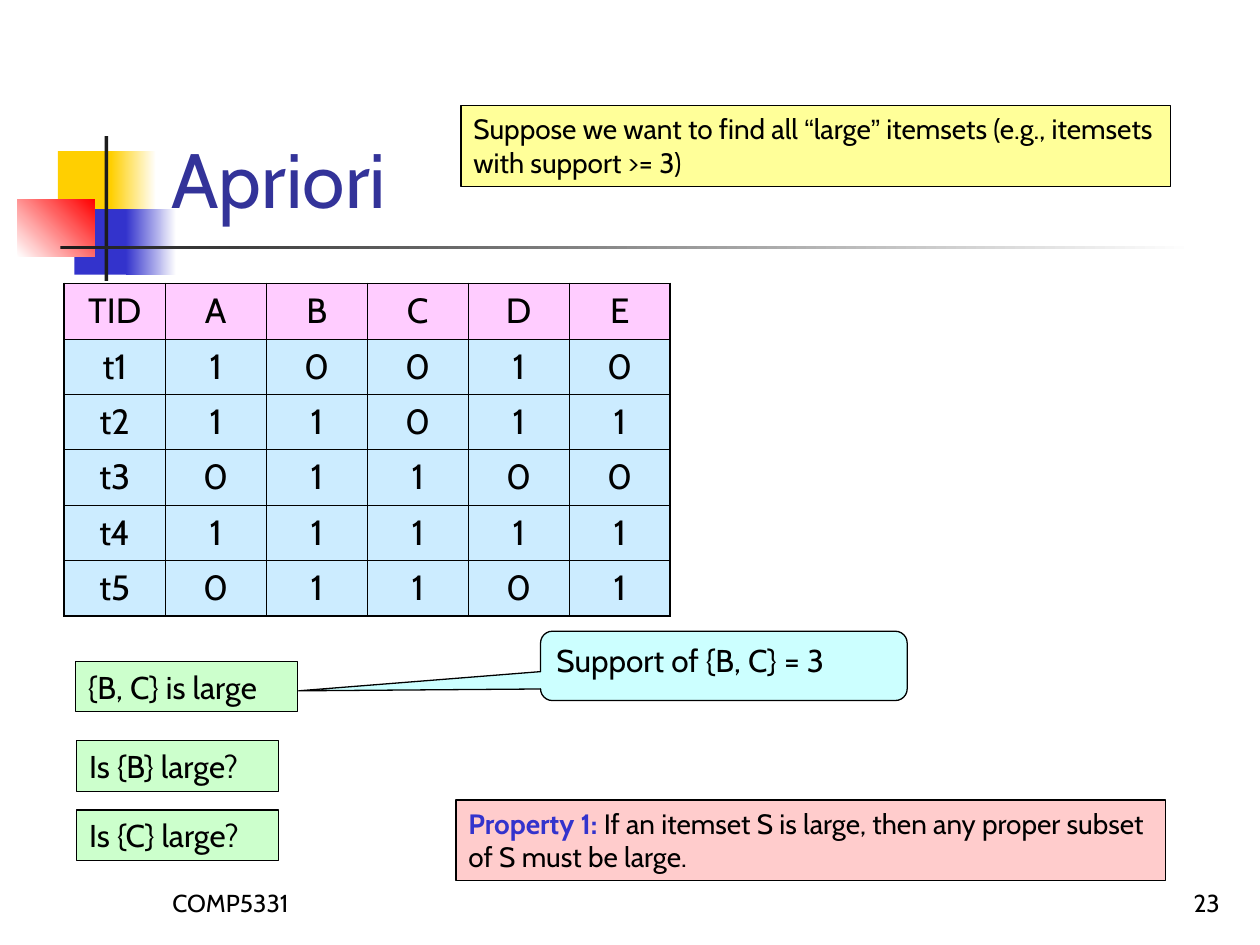
import pptx
import pptx.util
import pptx.dml.color
import pptx.enum.shapes
import pptx.enum.text
from lxml import etree

Inches, Pt = pptx.util.Inches, pptx.util.Pt
RGB = pptx.dml.color.RGBColor.from_string
Kind = pptx.enum.shapes.MSO_SHAPE
Align = pptx.enum.text.PP_ALIGN
Anchor = pptx.enum.text.MSO_ANCHOR
Fit = pptx.enum.text.MSO_AUTO_SIZE

HUE = {
    "black": "000000", "white": "FFFFFF", "dark": "1C1C1C",
    "gold": "FFCF01", "blue": "3333CC", "red": "FF0000", "title": "333399",
    "pink": "FFCCFF", "sky": "CCECFF", "lemon": "FFFF99",
    "mint": "CCFFCC", "aqua": "CCFFFF", "rose": "FFCCCC",
}


def write(para, text, size, hue="black", font="Cabin", bold=False):
    run = para.add_run()
    run.text = text
    run.font.size = Pt(size)
    run.font.name = font
    run.font.bold = bold
    run.font.color.rgb = RGB(HUE[hue])


def draw(kind, box, hue, line=False):
    """Add a shape with a plain fill and, if asked, a thin black outline."""
    shape = slide.shapes.add_shape(kind, *map(Inches, box))
    shape.shadow.inherit = False
    shape.fill.solid()
    shape.fill.fore_color.rgb = RGB(HUE[hue])
    if line:
        shape.line.color.rgb = RGB(HUE["black"])
        shape.line.width = Pt(0.75)
    else:
        shape.line.fill.background()
    return shape


deck = pptx.Presentation()
deck.slide_width, deck.slide_height = Inches(10), Inches(7.5)
slide = deck.slides.add_slide(deck.slide_layouts[5])

# Ornament beside the title: plain where end is None, else fading
bars = [
    ((0.46, 1.2, 0.48, 0.52), "gold", None, 0),
    ((0.88, 1.2, 0.36, 0.52), "gold", "white", 0),
    ((0.59, 1.66, 0.46, 0.52), "blue", None, 0),
    ((1, 1.66, 0.4, 0.52), "blue", "white", 0),
    ((0.14, 1.58, 0.61, 0.46), "white", "red", 45),
    ((0.83, 1.08, 0.03, 1.15), "dark", None, 0),
    ((0.48, 1.95, 9, 0.03), "dark", "white", 0),
]
for box, start, end, angle in bars:
    bar = draw(Kind.RECTANGLE, box, start)
    if end:
        bar.fill.gradient()
        bar.fill.gradient_angle = angle
        for stop, hue in zip(bar.fill.gradient_stops, (start, end)):
            stop.color.rgb = RGB(HUE[hue])

# Title
title = slide.shapes.title
title.left, title.top = Inches(1.26), Inches(0.23)
title.width, title.height = Inches(8.52), Inches(1.6)
frame = title.text_frame
frame.auto_size = Fit.NONE
frame.vertical_anchor = Anchor.BOTTOM
frame.paragraphs[0].alignment = Align.LEFT
write(frame.paragraphs[0], "Apriori", 44, "title")

# Footer
for left, text, align in [(1.27, "COMP5331", Align.LEFT), (7.7, "23", Align.RIGHT)]:
    foot = slide.shapes.add_textbox(Inches(left), Inches(6.83), Inches(2.08), Inches(0.5))
    frame = foot.text_frame
    frame.word_wrap = True
    frame.vertical_anchor = Anchor.BOTTOM
    frame.paragraphs[0].alignment = align
    write(frame.paragraphs[0], text, 14)

# Transactions
rows = [
    ["TID", "A", "B", "C", "D", "E"],
    ["t1", "1", "0", "0", "1", "0"],
    ["t2", "1", "1", "0", "1", "1"],
    ["t3", "0", "1", "1", "0", "0"],
    ["t4", "1", "1", "1", "1", "1"],
    ["t5", "0", "1", "1", "0", "1"],
]
last = len(rows) - 1
table = slide.shapes.add_table(
    6, 6, Inches(0.51), Inches(2.25), Inches(4.81), Inches(2.64)).table
for r, row in enumerate(rows):
    for c, text in enumerate(row):
        cell = table.cell(r, c)
        para = cell.text_frame.paragraphs[0]
        para.alignment = Align.CENTER
        write(para, text, 20)
        props = cell._tc.get_or_add_tcPr()
        edges = {"L": c == 0, "R": c == last, "T": r == 0, "B": r == last}
        for side, outer in edges.items():
            width = Pt(1.08 if outer else 0.45)
            props.append(etree.fromstring(
                '<a:ln%s xmlns:a="http://schemas.openxmlformats.org/drawingml/2006/main"'
                ' w="%d"><a:solidFill><a:srgbClr val="%s"/></a:solidFill></a:ln%s>'
                % (side, width, HUE["black"], side)))
        cell.fill.solid()
        cell.fill.fore_color.rgb = RGB(HUE["sky" if r else "pink"])

# Notes: box, fill, size, wrap, runs of (text, colour, font, bold)
notes = [
    ((3.66, 0.84, 5.63, 0.64), "lemon", 16, True, [
        ("Suppose we want to find all ",),
        ("“", "black", "Arial"),
        ("large",),
        ("”", "black", "Arial"),
        (" itemsets (e.g., itemsets with support >= 3)",)]),
    ((0.6, 5.25, 1.76, 0.4), "mint", 18, False, [("{B, C} is large",)]),
    ((4.29, 5.01, 2.91, 0.55), "aqua", 18, True, [("Support of {B, C} = 3",)]),
    ((0.61, 5.88, 1.6, 0.4), "mint", 18, False, [("Is {B} large?",)]),
    ((0.61, 6.43, 1.6, 0.4), "mint", 18, False, [("Is {C} large?",)]),
    ((3.62, 6.35, 5.63, 0.64), "rose", 16, True, [
        ("Property 1: ", "blue", "Cabin", True),
        ("If an itemset S is large, then any proper subset of S must be large.",)]),
]
for box, hue, size, wrap, runs in notes:
    call = hue == "aqua"
    kind = Kind.ROUNDED_RECTANGULAR_CALLOUT if call else Kind.RECTANGLE
    note = draw(kind, box, hue, line=True)
    if call:
        for i, value in enumerate((-1.16, 0.36, 0.17)):
            note.adjustments[i] = value
    frame = note.text_frame
    frame.word_wrap = wrap
    frame.vertical_anchor = Anchor.TOP
    para = frame.paragraphs[0]
    para.alignment = Align.LEFT
    for text, *style in runs:
        write(para, text, size, *style)

deck.save("out.pptx")
